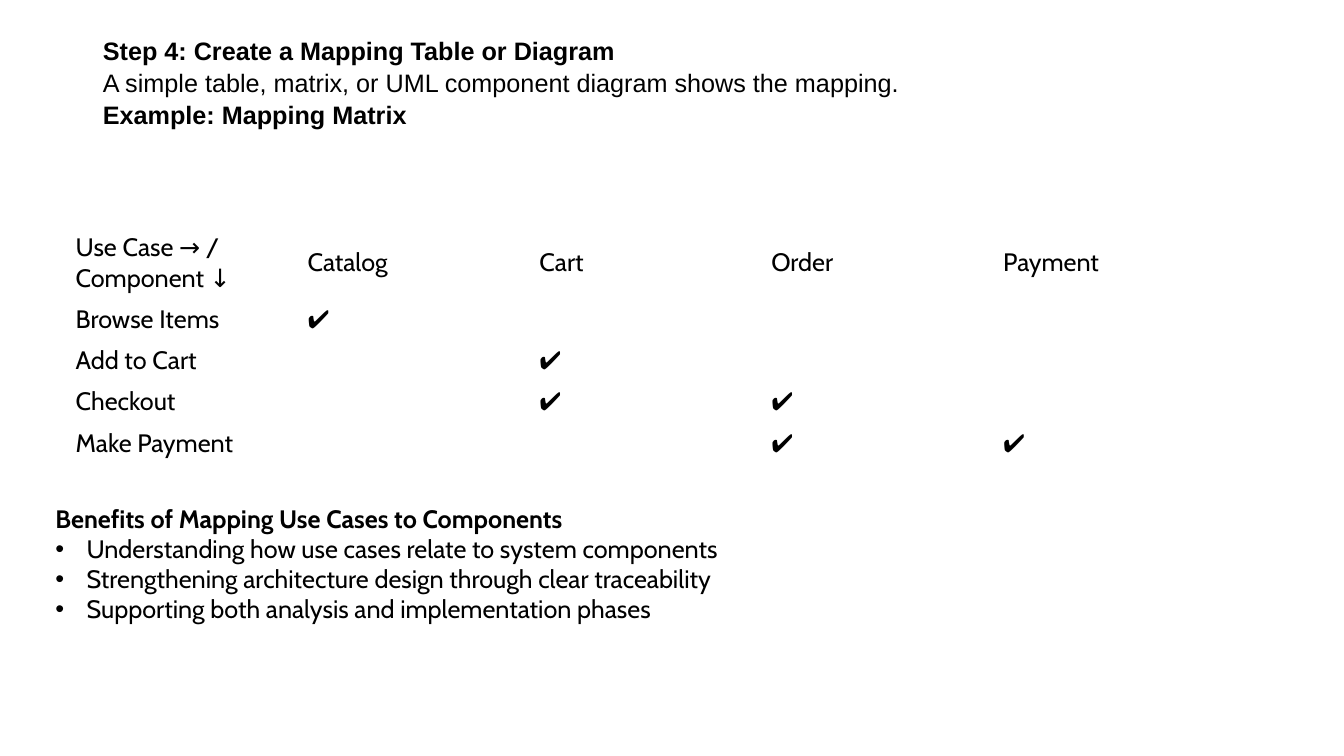
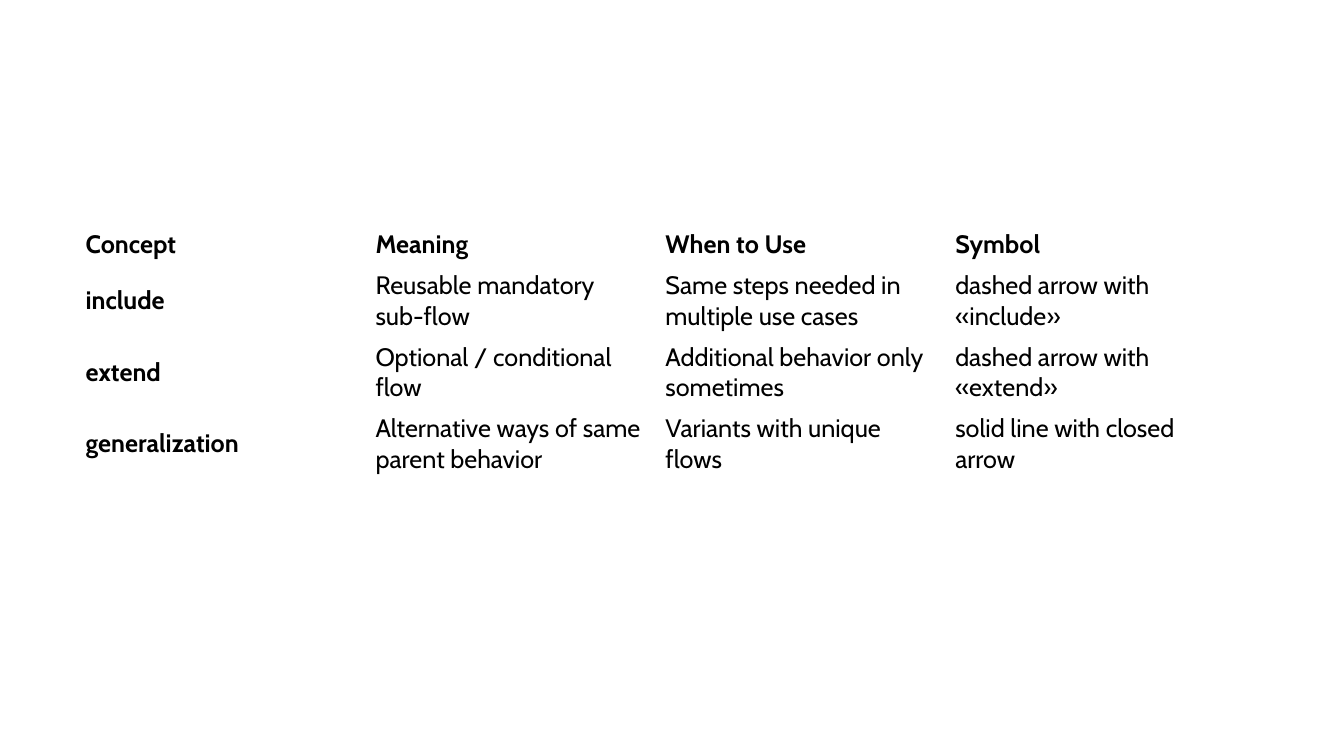
from lxml.etree import SubElement
from pptx import Presentation
from pptx.dml.color import RGBColor
from pptx.enum.text import MSO_ANCHOR, PP_ALIGN
from pptx.oxml.ns import qn
from pptx.util import Pt

PX = 9144  # 100 px to the inch
TITLE_ONLY, BLANK = 5, 6
ONE_LINE, TWO_LINES = 41, 71  # table row heights


def px(n):
    return n * PX


def color(hex_code):
    return RGBColor.from_string(hex_code)


class Deck:
    INK = "000000"
    TITLE_FONT, BODY_FONT = "Arial", "Cabin"
    SIZE = 18
    INDENT = 31

    def __init__(self):
        self.prs = Presentation()
        self.prs.slide_width, self.prs.slide_height = px(1333), px(750)
        self.s = None

    def add_slide(self, layout):
        self.s = self.prs.slides.add_slide(self.prs.slide_layouts[layout])

    def style(self, p, font, bold):
        for r in p.runs:
            r.font.name = font
            r.font.size = Pt(self.SIZE)
            r.font.bold = bold
            r.font.color.rgb = color(self.INK)

    def bullet(self, p):
        pPr = p._p.get_or_add_pPr()
        pPr.set("marL", str(px(self.INDENT)))
        pPr.set("indent", str(-px(self.INDENT)))
        SubElement(pPr, qn("a:buFont")).set("typeface", "Arial")
        SubElement(pPr, qn("a:buChar")).set("char", "•")

    def title(self, x, y, w, h, lines):
        """Each line is a (text, bold) pair."""
        sp = self.s.shapes.title
        sp.left, sp.top, sp.width, sp.height = map(px, (x, y, w, h))
        tf = sp.text_frame
        tf.word_wrap = True
        tf.vertical_anchor = MSO_ANCHOR.TOP
        tf.text = "\n".join(text for text, _ in lines)
        for p, (_, bold) in zip(tf.paragraphs, lines):
            p.alignment = PP_ALIGN.LEFT
            p.line_spacing = 1.05
            self.style(p, self.TITLE_FONT, bold)

    def bullet_list(self, x, y, w, h, heading, items):
        tf = self.s.shapes.add_textbox(*map(px, (x, y, w, h))).text_frame
        tf.word_wrap = True
        tf.text = "\n".join([heading, *items])
        for i, p in enumerate(tf.paragraphs):
            if i > 0:
                self.bullet(p)
            self.style(p, self.BODY_FONT, i == 0)

    def table(self, x, y, w, rows, heights, bold_headers=False):
        shape = self.s.shapes.add_table(len(rows), len(rows[0]),
                                        *map(px, (x, y, w, sum(heights))))
        table = shape.table
        table.first_row = table.horz_banding = False
        for i, (row, height) in enumerate(zip(rows, heights)):
            table.rows[i].height = px(height)
            for j, text in enumerate(row):
                cell = table.cell(i, j)
                cell.fill.background()
                cell.vertical_anchor = MSO_ANCHOR.MIDDLE
                cell.text = text
                bold = bold_headers and (i == 0 or j == 0)
                self.style(cell.text_frame.paragraphs[0], self.BODY_FONT, bold)


def mapping_slide(deck):
    deck.add_slide(TITLE_ONLY)
    deck.title(92, 29, 1150, 145, [
        ("Step 4: Create a Mapping Table or Diagram", True),
        ("A simple table, matrix, or UML component diagram shows the mapping.", False),
        ("Example: Mapping Matrix", True),
    ])

    # Mapping matrix: the components each use case touches
    components = ["Catalog", "Cart", "Order", "Payment"]
    uses = {
        "Browse Items": ["Catalog"],
        "Add to Cart": ["Cart"],
        "Checkout": ["Cart", "Order"],
        "Make Payment": ["Order", "Payment"],
    }
    rows = [["Use Case → / Component ↓", *components]]
    for use_case, touched in uses.items():
        rows.append([use_case, *("✔" if c in touched else "" for c in components)])
    deck.table(65, 225, 1150, rows, [TWO_LINES] + [ONE_LINE] * len(uses))

    # Benefits
    deck.bullet_list(45, 494, 699, 162, "Benefits of Mapping Use Cases to Components", [
        "Understanding how use cases relate to system components",
        "Strengthening architecture design through clear traceability",
        "Supporting both analysis and implementation phases",
    ])


def concepts_slide(deck):
    deck.add_slide(BLANK)
    rows = [
        ["Concept", "Meaning", "When to Use", "Symbol"],
        ["include", "Reusable mandatory sub-flow",
         "Same steps needed in multiple use cases", "dashed arrow with «include»"],
        ["extend", "Optional / conditional flow",
         "Additional behavior only sometimes", "dashed arrow with «extend»"],
        ["generalization", "Alternative ways of same parent behavior",
         "Variants with unique flows", "solid line with closed arrow"],
    ]
    deck.table(75, 222, 1150, rows, [ONE_LINE] + [TWO_LINES] * 3, bold_headers=True)


def main():
    deck = Deck()
    mapping_slide(deck)
    concepts_slide(deck)
    deck.prs.save("out.pptx")


if __name__ == "__main__":
    main()
